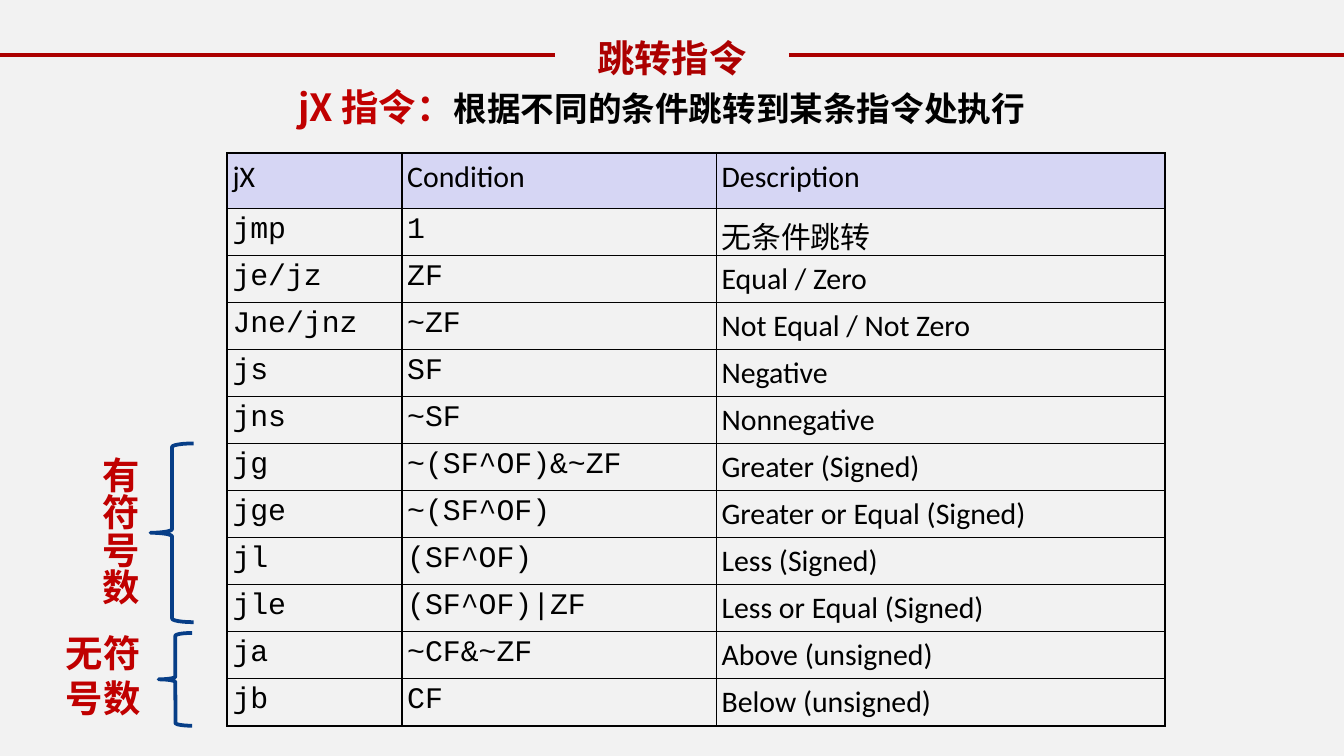
from pptx import Presentation
from pptx.dml.color import RGBColor
from pptx.enum import shapes, text
from pptx.oxml.ns import qn
from pptx.util import Inches, Pt
from lxml import etree

CJK = "Noto Sans CJK SC"
RED, DARK, BLUE, BLACK = "C00000", "AC0000", "073E87", "000000"
ROWS = [
    ("jX", "Condition", "Description"),
    ("jmp", "1", "无条件跳转"),
    ("je/jz", "ZF", "Equal / Zero"),
    ("Jne/jnz", "~ZF", "Not Equal / Not Zero"),
    ("js", "SF", "Negative"),
    ("jns", "~SF", "Nonnegative"),
    ("jg", "~(SF^OF)&~ZF", "Greater (Signed)"),
    ("jge", "~(SF^OF)", "Greater or Equal (Signed)"),
    ("jl", "(SF^OF)", "Less (Signed)"),
    ("jle", "(SF^OF)|ZF", "Less or Equal (Signed)"),
    ("ja", "~CF&~ZF", "Above (unsigned)"),
    ("jb", "CF", "Below (unsigned)"),
]


def color(code):
    return RGBColor.from_string(code)


def style(run, size, code, face=CJK, bold=True):
    font = run.font
    font.size, font.bold, font.name = Pt(size), bold, face
    font.color.rgb = color(code)
    east = etree.SubElement(run._r.get_or_add_rPr(), qn("a:ea"))
    east.set("typeface", CJK)


def place(shape, box):
    shape.left, shape.top, shape.width, shape.height = map(Inches, box)


def label(slide, box, parts):
    """Text box whose parts are (words, size, colour)."""
    frame = slide.shapes.add_textbox(*map(Inches, box)).text_frame
    frame.word_wrap = True
    para = frame.paragraphs[0]
    for words, size, code in parts:
        run = para.add_run()
        run.text = words
        style(run, size, code)
    return frame


def header(slide, box):
    left, top, width, height = box
    # Rules on both sides of the title
    gap, y = 1.74, top + 0.2
    side = (width - gap) / 2
    for x in (left, left + side + gap):
        rule = slide.shapes.add_connector(
            shapes.MSO_CONNECTOR.STRAIGHT,
            Inches(x), Inches(y), Inches(x + side), Inches(y))
        rule.line.color.rgb, rule.line.width = color(DARK), Pt(2)
        etree.SubElement(rule._element.spPr, qn("a:effectLst"))
    # Title
    title = slide.shapes.title
    place(title, (left + side, top, gap, height))
    frame = title.text_frame
    frame.text = "跳转指令"
    frame.auto_size = text.MSO_AUTO_SIZE.NONE
    frame.vertical_anchor = text.MSO_ANCHOR.TOP
    para = frame.paragraphs[0]
    para.alignment = text.PP_ALIGN.CENTER
    style(para.runs[0], 20, DARK)


def border(cell):
    props = cell._tc.get_or_add_tcPr()
    for spot, side in enumerate(("lnL", "lnR", "lnT", "lnB")):
        line = etree.Element(qn("a:" + side), w=str(Pt(1)))
        fill = etree.SubElement(line, qn("a:solidFill"))
        etree.SubElement(fill, qn("a:srgbClr"), val=BLACK)
        props.insert(spot, line)


def jumps(slide, box):
    grid = slide.shapes.add_table(len(ROWS), 3, *map(Inches, box)).table
    for col, width in zip(grid.columns, (1.3, 2.34, 3.34)):
        col.width = Inches(width)
    for r, row in enumerate(ROWS):
        grid.rows[r].height = Inches(0.35 if r else 0.41)
        for c, words in enumerate(row):
            cell = grid.cell(r, c)
            cell.margin_left = cell.margin_right = Inches(0.04)
            cell.margin_top = cell.margin_bottom = Inches(0.04)
            cell.text_frame.text = words
            face = "Courier New" if r and c < 2 else "Calibri"
            style(cell.text_frame.paragraphs[0].runs[0], 16, BLACK, face, False)
            if r:
                cell.fill.background()
            else:
                cell.fill.solid()
                cell.fill.fore_color.rgb = color("D6D6F4")
            border(cell)


def brace(slide, box):
    mark = slide.shapes.add_shape(
        shapes.MSO_SHAPE.LEFT_BRACE, *map(Inches, box))
    mark.shadow.inherit = False
    mark.fill.background()
    mark.line.color.rgb, mark.line.width = color(BLUE), Pt(2)


def groups(slide, box):
    left, top, width, height = box
    # Signed jumps, set vertically
    brace(slide, (left + 0.73, top, 0.32, 1.33))
    frame = label(slide, (left + 0.18, top, 0.54, 1.33),
                  [("有符号数", 20, RED)])
    frame._txBody.bodyPr.set("vert", "eaVert")
    # Unsigned jumps
    brace(slide, (left + 0.79, top + height - 0.69, 0.25, 0.69))
    label(slide, (left, top + 1.34, 0.79, 0.77), [("无符号数", 20, RED)])


def main():
    deck = Presentation()
    deck.slide_width = Inches(10)
    deck.slide_height = deck.slide_width * 9 // 16
    slide = deck.slides.add_slide(deck.slide_layouts[5])
    slide.background.fill.solid()
    slide.background.fill.fore_color.rgb = color("F2F2F2")
    header(slide, (0, 0.21, 10, 0.44))
    label(slide, (2.12, 0.58, 5.77, 0.44),
          [("jX 指令：", 20, RED),
           ("根据不同的条件跳转到某条指令处执行", 18, BLACK)])
    jumps(slide, (1.69, 1.14, 6.97, 4.26))
    groups(slide, (0.39, 3.3, 1.05, 2.1))
    deck.save("out.pptx")


if __name__ == "__main__":
    main()
